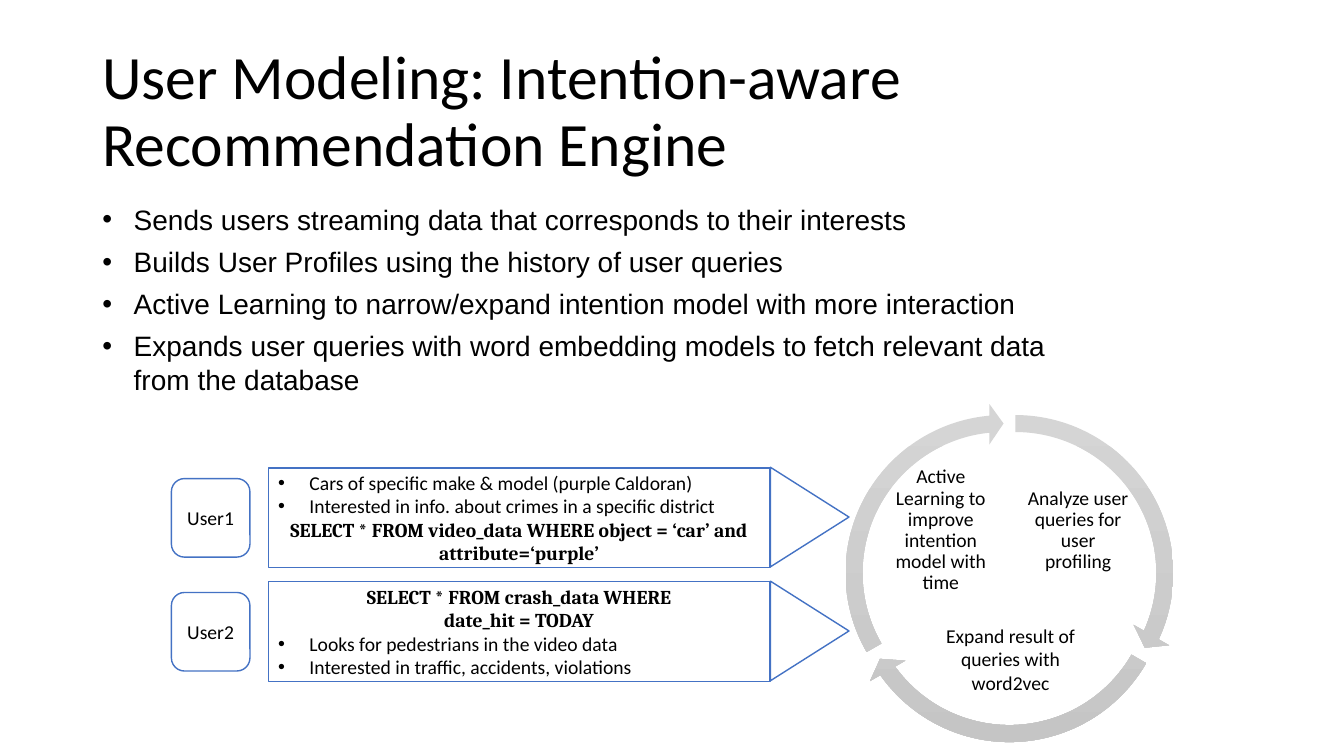
from lxml.etree import SubElement
from pptx import Presentation
from pptx.dml.color import RGBColor
from pptx.enum.shapes import MSO_SHAPE as Shape
from pptx.enum.text import MSO_ANCHOR as Anchor, PP_ALIGN as Align
from pptx.oxml.ns import qn
from pptx.util import Cm, Pt


def rgb(value):
    return RGBColor.from_string(value)


class SlideBuilder:
    ink = "000000"
    outline = "4472C4"
    cycle_colors = ("D5D5D5", "C5C5C5")
    body_font = "Calibri"
    code_font = "Cambria"
    indent = Cm(0.79)

    def __init__(self, slide):
        self.shapes = slide.shapes

    def fill_text(self, frame, lines, size, font=None, align=Align.CENTER,
                  spacing=None, before=0, anchor=Anchor.MIDDLE):
        frame.word_wrap = True
        frame.vertical_anchor = anchor
        for index, (kind, words) in enumerate(lines):
            paragraph = frame.paragraphs[0] if index == 0 else frame.add_paragraph()
            paragraph.text = words
            paragraph.alignment = align
            if spacing:
                paragraph.line_spacing = spacing
            if index and before:
                paragraph.space_before = Pt(before)
            if kind == "bullet":
                self.bullet(paragraph)
            is_code = kind == "code"
            paragraph.font.name = font or (self.code_font if is_code else self.body_font)
            paragraph.font.size = Pt(size)
            paragraph.font.bold = is_code
            paragraph.font.color.rgb = rgb(self.ink)

    def bullet(self, paragraph):
        paragraph.alignment = Align.LEFT
        properties = paragraph._p.get_or_add_pPr()
        properties.set("marL", str(self.indent))
        properties.set("indent", str(-self.indent))
        SubElement(properties, qn("a:buFont"), typeface="Arial")
        SubElement(properties, qn("a:buChar"), char="•")

    def text(self, box, lines, size, inset=None, **style):
        frame = self.shapes.add_textbox(*map(Cm, box)).text_frame
        if inset is not None:
            frame.margin_left = frame.margin_right = Cm(inset)
            frame.margin_top = frame.margin_bottom = Cm(inset)
        self.fill_text(frame, lines, size, **style)

    def outlined(self, kind, box, lines=(), rotation=0):
        shape = self.shapes.add_shape(kind, *map(Cm, box))
        shape.shadow.inherit = False
        shape.rotation = rotation
        shape.fill.background()
        shape.line.color.rgb = rgb(self.outline)
        shape.line.width = Pt(1)
        self.fill_text(shape.text_frame, lines, 14)

    def cycle_arrow(self, left, top, end, start):
        arrow = self.shapes.add_shape(
            Shape.CIRCULAR_ARROW, Cm(left), Cm(top), Cm(8.56), Cm(8.56))
        arrow.shadow.inherit = False
        for index, value in enumerate((0.05, 3.28, end, start, 0.06)):
            arrow.adjustments[index] = value
        arrow.fill.gradient()
        arrow.fill.gradient_angle = 270
        for stop, color in zip(arrow.fill.gradient_stops, self.cycle_colors):
            stop.color.rgb = rgb(color)
        arrow.line.fill.background()


TITLE = "User Modeling: Intention-aware Recommendation Engine"
FEATURES = [
    "Sends users streaming data that corresponds to their interests",
    "Builds User Profiles using the history of user queries",
    "Active Learning to narrow/expand intention model with more interaction",
    "Expands user queries with word embedding models to fetch relevant data from the database",
]
USERS = [
    ("User1", [
        ("bullet", "Cars of specific make & model (purple Caldoran)"),
        ("bullet", "Interested in info. about crimes in a specific district"),
        ("code", "SELECT * FROM video_data WHERE object = ‘car’ and attribute=‘purple’"),
    ]),
    ("User2", [
        ("code", "SELECT * FROM crash_data WHERE"),
        ("code", "date_hit = TODAY"),
        ("bullet", "Looks for pedestrians in the video data"),
        ("bullet", "Interested in traffic, accidents, violations"),
    ]),
]
CYCLE_STEPS = [
    ("Analyze user queries for user profiling", (25.81, 12.24, 2.72, 2.26), 0.9),
    ("Expand result of queries with word2vec", (23.44, 15.62, 4.06, 1.98), 1.0),
    ("Active Learning to improve intention model with time", (22.35, 12.24, 2.72, 2.26), 0.9),
]
CYCLE_ARROWS = [
    (21.31, 10.16, 14.72, 161.99),
    (21.16, 10.44, 86.72, 18.01),
    (21.01, 10.16, 158.73, 90),
]


def main():
    deck = Presentation()
    deck.slide_width, deck.slide_height = Cm(33.87), Cm(19.05)
    builder = SlideBuilder(deck.slides.add_slide(deck.slide_layouts[6]))

    builder.text((2.33, 1.01, 29.21, 3.68), [("plain", TITLE)], 44,
                 align=Align.LEFT, spacing=0.9)
    builder.text((2.33, 4.98, 24.33, 6.02), [("bullet", feature) for feature in FEATURES],
                 20, font="Arial", before=6, anchor=Anchor.TOP)

    for step, box, spacing in CYCLE_STEPS:
        builder.text(box, [("plain", step)], 14, inset=0.05, spacing=spacing)
    for arrow in CYCLE_ARROWS:
        builder.cycle_arrow(*arrow)

    for row, (user, profile) in enumerate(USERS):
        top = 11.79 + 2.87 * row
        builder.outlined(Shape.ROUNDED_RECTANGLE, (4.32, top + 0.27, 1.98, 1.98),
                         [("plain", user)])
        builder.outlined(Shape.RECTANGLE, (6.76, top, 12.65, 2.51), profile)
        builder.outlined(Shape.ISOSCELES_TRIANGLE, (19.15, top + 0.25, 2.51, 1.98),
                         rotation=90)

    deck.save("out.pptx")


if __name__ == "__main__":
    main()
